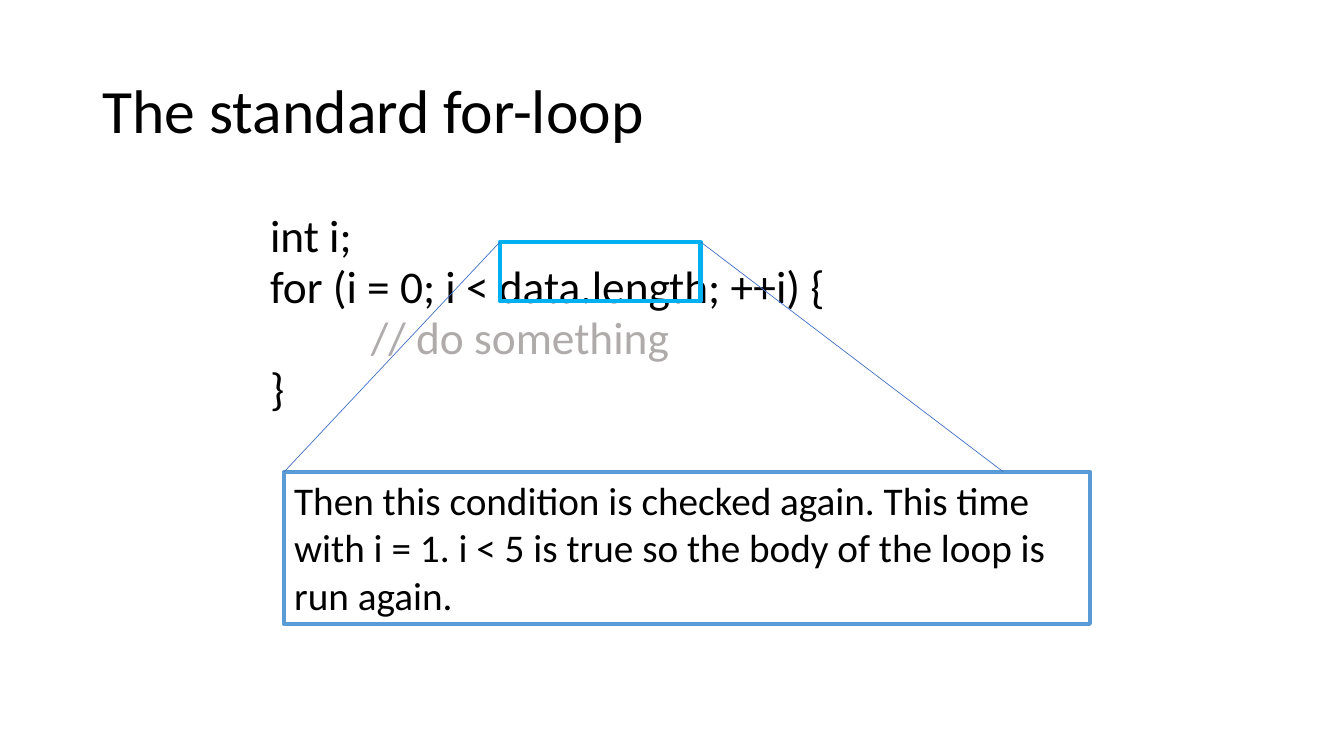
from itertools import cycle
from lxml.etree import SubElement
from pptx import Presentation
from pptx.dml.color import RGBColor
from pptx.enum.shapes import MSO_CONNECTOR, MSO_SHAPE
from pptx.enum.text import MSO_ANCHOR, PP_ALIGN
from pptx.oxml.ns import qn
from pptx.util import Inches, Pt

prs = Presentation()
prs.slide_width, prs.slide_height = Inches(13.33), Inches(7.5)
slide = prs.slides.add_slide(prs.slide_layouts[6])
shapes = slide.shapes


def place(*shares):
    """Turn alternating percentages of slide width and height into lengths."""
    sides = cycle((prs.slide_width, prs.slide_height))
    return [int(side * share / 100) for side, share in zip(sides, shares)]


def style(font, size, color):
    font.name, font.size = "Calibri", Pt(size)
    font.color.rgb = RGBColor.from_string(color)


# Title
title = shapes.add_textbox(*place(6.9, 5.33, 86.27, 19.33)).text_frame
title.word_wrap = True
title.vertical_anchor = MSO_ANCHOR.MIDDLE
heading = title.paragraphs[0]
heading.text = "The standard for-loop"
heading.line_spacing = 0.9
style(heading.font, 44, "000000")

# Code listing: text, indent in inches, colour
listing = [
    ("int i;", 0, "000000"),
    ("for (i = 0; i < data.length; ++i) {", 0, "000000"),
    ("// do something", 1, "AFABAB"),
    ("}", 0, "000000"),
]
code = shapes.add_textbox(*place(19.35, 28.67, 60, 28)).text_frame
code.word_wrap = True
for number, (text, indent, color) in enumerate(listing):
    line = code.add_paragraph() if number else code.paragraphs[0]
    line.text = text
    line.line_spacing = 0.7
    line.space_after = Pt(9.2)
    line._p.get_or_add_pPr().set("marL", str(Inches(indent)))
    style(line.font, 32.4, color)

# Frame around the condition, and the explanation below it
frame_left, frame_top, frame_width, frame_height = 37.2, 32, 14.93, 7.87
note_left, note_top, note_width, note_height = 21.15, 62.4, 59.94, 20.13
condition = shapes.add_shape(
    MSO_SHAPE.RECTANGLE, *place(frame_left, frame_top, frame_width, frame_height))
explanation = shapes.add_shape(
    MSO_SHAPE.RECTANGLE, *place(note_left, note_top, note_width, note_height))
for box, color in ((condition, "00B0F0"), (explanation, "5B9BD5")):
    box.shadow.inherit = False
    box.fill.background()
    box.line.color.rgb = RGBColor.from_string(color)
    box.line.width = Pt(3)

note = explanation.text_frame
note.word_wrap = True
note.vertical_anchor = MSO_ANCHOR.TOP
sentence = note.paragraphs[0]
sentence.text = ("Then this condition is checked again. This time with i = 1. "
                 "i < 5 is true so the body of the loop is run again.")
sentence.alignment = PP_ALIGN.LEFT
style(sentence.font, 28, "000000")

# Zoom lines from the frame to the explanation
for start, end in ((frame_left, note_left), (frame_left + frame_width, 74.64)):
    zoom = shapes.add_connector(
        MSO_CONNECTOR.STRAIGHT, *place(start, frame_top, end, note_top))
    zoom.line.color.rgb = RGBColor.from_string("4472C4")
    zoom.line.width = Pt(0.5)
    SubElement(zoom._element.spPr, qn("a:effectLst"))

prs.save("out.pptx")
